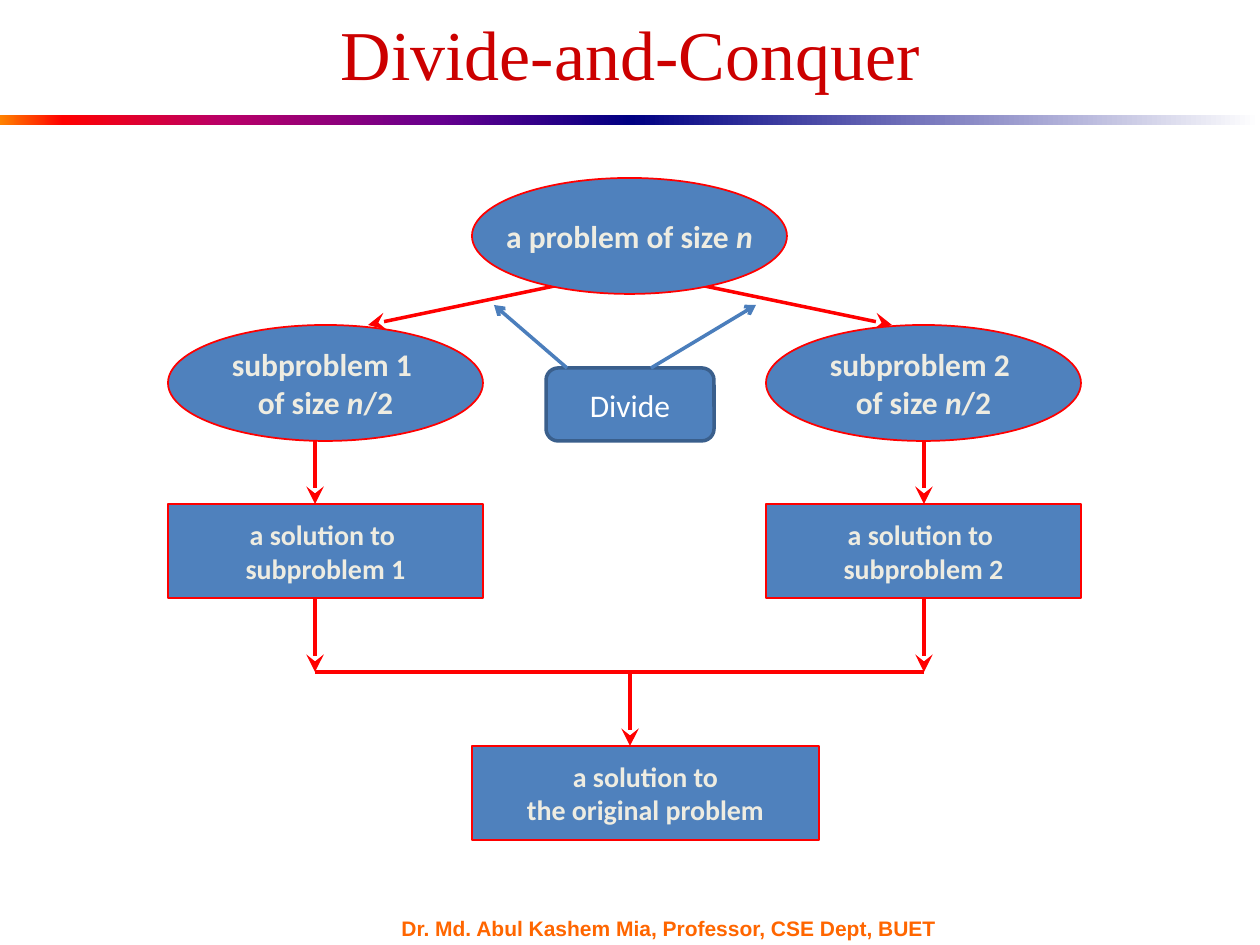
from lxml import etree
from pptx import Presentation, util as u
from pptx.dml import color
from pptx.enum import dml, shapes, text
from pptx.oxml import ns

PX = 914400 / 126
COLORS = {"title": "CC0000", "footer": "FF6600", "fill": "4F81BD", "red": "FF0000",
          "cream": "EEECE1", "white": "FFFFFF", "edge": "3A5F8C", "pointer": "4B7EBC"}

TITLE = "Divide-and-Conquer"
FOOTER = "Dr. Md. Abul Kashem Mia, Professor, CSE Dept, BUET"
BANDS = [  # left px, gradient stops in percent
    (0, [(0, "FF8200"), (10, "FF0000"), (35, "BA0066"), (70, "66008F"), (100, "000082")]),
    (630, [(0, "000082"), (100, "FFFFFF")]),
]
BRANCHES = [(1, 168, 315, 368), (2, 766, 924, 892)]  # number, left, stem x, branch end x
PROBLEM = [[("a problem of size ", False), ("n", True)]]
SOLUTION = [[("a solution to", False)], [("the original problem", False)]]
DIVIDE = [[("Divide", False)]]
POINTERS = [((567, 368), (494, 305)), ((651, 368), (756, 305))]

NODE_WIDTH, OVAL_HEIGHT, BOX_HEIGHT = 315, 116, 94
ROOT_TOP, SUBPROBLEM_TOP, SOLUTION_TOP, JOIN_Y, FINAL_TOP = 178, 325, 504, 672, 746
CENTER = 630


def emu(*pixels):
    return [u.Emu(round(value * PX)) for value in pixels]


def rgb(name):
    return color.RGBColor.from_string(COLORS[name])


def write(frame, lines, size=18, font="Calibri", ink="cream", bold=True,
          align=text.PP_ALIGN.CENTER, wrap=False):
    """Fill a text frame with lines, each a list of (words, italic) runs."""
    frame.word_wrap = wrap
    frame.vertical_anchor = text.MSO_ANCHOR.MIDDLE
    for index, line in enumerate(lines):
        paragraph = frame.add_paragraph() if index else frame.paragraphs[0]
        paragraph.alignment = align
        for words, italic in line:
            run = paragraph.add_run()
            run.text = words
            run.font.size, run.font.name = u.Pt(size), font
            run.font.bold, run.font.italic = bold, italic
            run.font.color.rgb = rgb(ink)


def add_node(slide, kind, box, lines, edge="red", weight=1, **style):
    shape = slide.shapes.add_shape(kind, *emu(*box))
    shape.shadow.inherit = False
    shape.fill.solid()
    shape.fill.fore_color.rgb = rgb("fill")
    shape.line.color.rgb = rgb(edge)
    shape.line.width = u.Pt(weight)
    write(shape.text_frame, lines, **style)


def add_line(slide, start, end, ink="red", head="stealth", head_size="lg"):
    line = slide.shapes.add_connector(shapes.MSO_CONNECTOR.STRAIGHT, *emu(*start, *end))
    line.line.color.rgb = rgb(ink)
    line.line.width = u.Pt(2)
    if head:
        etree.SubElement(line.line._get_or_add_ln(), ns.qn("a:tailEnd"),
                         type=head, w=head_size, len=head_size)
    etree.SubElement(line._element.spPr, ns.qn("a:effectLst"))


def add_band(slide, left, stops):
    band = slide.shapes.add_shape(shapes.MSO_SHAPE.RECTANGLE, *emu(left, 115, CENTER, 10))
    band.shadow.inherit = False
    band.line.fill.background()
    band.fill.gradient()
    band.fill.gradient_angle = 0
    stop_list = band._element.spPr.find(".//" + ns.qn("a:gsLst"))
    for stop in list(stop_list):
        stop_list.remove(stop)
    for percent, value in stops:
        stop = etree.SubElement(stop_list, ns.qn("a:gs"), pos=str(percent * 1000))
        etree.SubElement(stop, ns.qn("a:srgbClr"), val=value)


def main():
    presentation = Presentation()
    presentation.slide_width, presentation.slide_height = u.Inches(10), u.Inches(7.5)
    slide = presentation.slides.add_slide(presentation.slide_layouts[5])
    oval, rectangle = shapes.MSO_SHAPE.OVAL, shapes.MSO_SHAPE.RECTANGLE

    for left, stops in BANDS:
        add_band(slide, left, stops)

    title = slide.shapes.title
    title.left, title.top, title.width, title.height = emu(95, 0, 1070, 104)
    write(title.text_frame, [[(TITLE, False)]], size=40, font="Times New Roman",
          ink="title", bold=False, wrap=True)

    footer = slide.shapes.add_textbox(*emu(389, 917, 588, 23))
    write(footer.text_frame, [[(FOOTER, False)]], size=12, font="Arial", ink="footer",
          align=text.PP_ALIGN.LEFT)

    for number, left, stem, branch_end in BRANCHES:
        add_line(slide, (CENTER + (branch_end - CENTER) // 4, 284), (branch_end, SUBPROBLEM_TOP))
        add_node(slide, oval, (left, SUBPROBLEM_TOP, NODE_WIDTH, OVAL_HEIGHT),
                 [[(f"subproblem {number} ", False)],
                  [("of size ", False), ("n", True), ("/2", False)]])
        add_node(slide, rectangle, (left, SOLUTION_TOP, NODE_WIDTH, BOX_HEIGHT),
                 [[("a solution to ", False)], [(f"subproblem {number}", False)]], size=16)
        add_line(slide, (stem, SUBPROBLEM_TOP + OVAL_HEIGHT), (stem, SOLUTION_TOP))
        add_line(slide, (stem, SOLUTION_TOP + BOX_HEIGHT), (stem, JOIN_Y))

    add_node(slide, oval, (472, ROOT_TOP, NODE_WIDTH, OVAL_HEIGHT), PROBLEM)
    add_line(slide, (BRANCHES[0][2], JOIN_Y), (BRANCHES[1][2], JOIN_Y), head=None)
    add_line(slide, (CENTER, JOIN_Y), (CENTER, FINAL_TOP))
    add_node(slide, rectangle, (472, FINAL_TOP, 347, BOX_HEIGHT), SOLUTION, size=16)

    add_node(slide, shapes.MSO_SHAPE.ROUNDED_RECTANGLE, (546, 368, 168, 73), DIVIDE,
             edge="edge", weight=2, ink="white", bold=False, wrap=True)
    for start, end in POINTERS:
        add_line(slide, start, end, ink="pointer", head="arrow", head_size="med")

    presentation.save("out.pptx")


if __name__ == "__main__":
    main()
